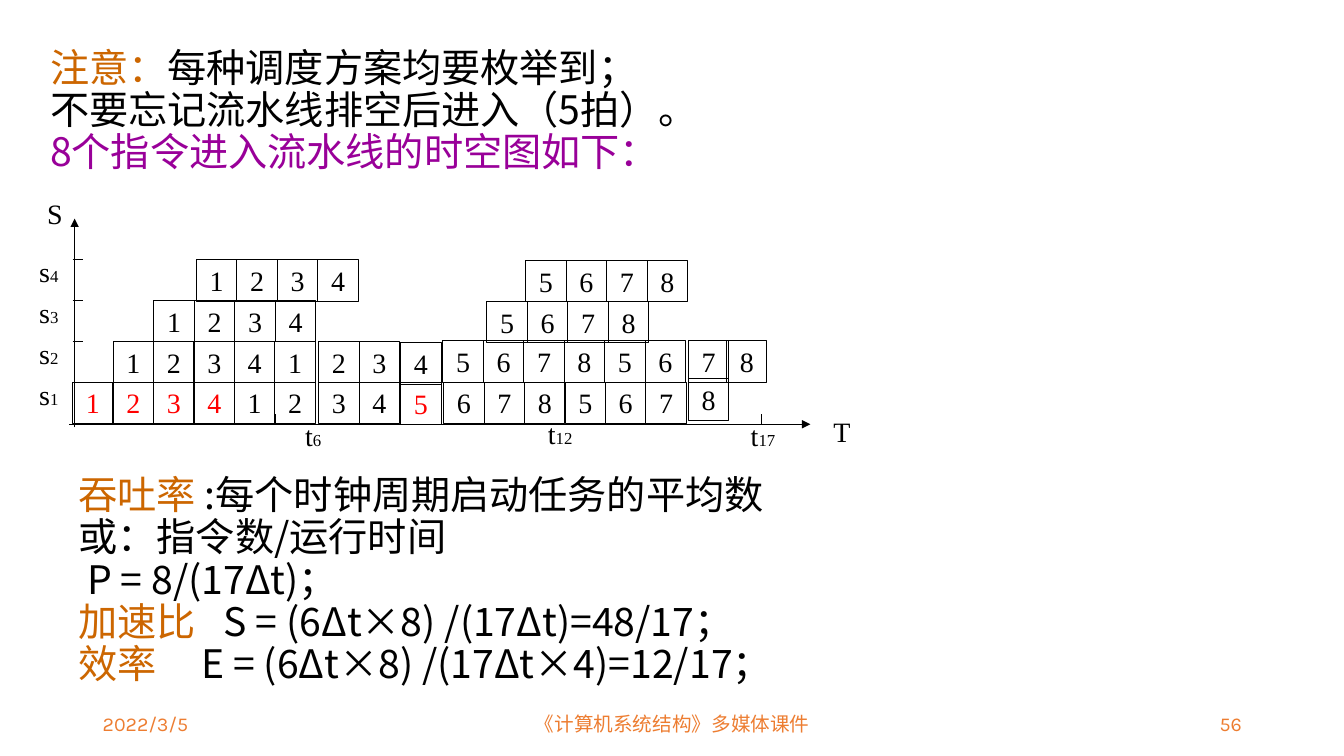
import pptx
import pptx.util
import pptx.dml.color
import pptx.enum.shapes
import pptx.enum.text
import pptx.oxml
import pptx.oxml.ns

Cm = pptx.util.Cm
Pt = pptx.util.Pt
ALIGN = pptx.enum.text.PP_ALIGN
ANCHOR = pptx.enum.text.MSO_ANCHOR
BLACK, RED, ORANGE, PURPLE, FOOTER = "000000", "FF0000", "CC6600", "990099", "ED7D31"
SERIF, SANS = "Times New Roman", "Noto Sans CJK SC"
NAMESPACE = pptx.oxml.ns.nsdecls("a")


def paint(colour_format, colour):
    colour_format.rgb = pptx.dml.color.RGBColor.from_string(colour)


def write(paragraph, wording, size, font_name, colour):
    run = paragraph.add_run()
    run.text = wording
    for key, value in {"size": Pt(size), "name": font_name, "bold": False}.items():
        setattr(run.font, key, value)
    paint(run.font.color, colour)


deck = pptx.Presentation()
deck.slide_width, deck.slide_height = Cm(33.87), Cm(19.05)
slide = deck.slides.add_slide(deck.slide_layouts[1])
heading, notice = slide.placeholders
heading.element.getparent().remove(heading.element)

footers = [
    (2.34, 7.62, ALIGN.LEFT, "2022/3/5"),
    (11.23, 11.43, ALIGN.CENTER, "《计算机系统结构》多媒体课件"),
    (23.93, 7.62, ALIGN.RIGHT, "56"),
]
for left, width, alignment, wording in footers:
    footer = slide.shapes.add_textbox(Cm(left), Cm(17.65), Cm(width), Cm(1.02)).text_frame
    footer.word_wrap = True
    footer.vertical_anchor = ANCHOR.BOTTOM
    footer.paragraphs[0].alignment = alignment
    write(footer.paragraphs[0], wording, 14, "Karla", FOOTER)

notice.left, notice.top, notice.width, notice.height = Cm(1.01), Cm(1.09), Cm(29.21), Cm(12.09)
formulas = slide.shapes.add_textbox(Cm(1.73), Cm(11.86), Cm(29.21), Cm(12.09))
notice_lines = [
    (0.64, -0.64, [("注意：", SERIF, ORANGE), ("每种调度方案均要枚举到；", SERIF, BLACK)]),
    (0.64, -0.64, [("不要忘记流水线排空后进入（5拍）。", SANS, BLACK)]),
    (0.64, -0.64, [("8个指令进入流水线的时空图如下：", SANS, PURPLE)]),
]
formula_lines = [
    (0.64, -0.64, [("吞吐率 ", SANS, ORANGE), (":每个时钟周期启动任务的平均数", SANS, BLACK)]),
    (0.64, -0.64, [("或：指令数/运行时间", SANS, BLACK)]),
    (0.86, -0.64, [("P = 8/(17Δt)；", SANS, BLACK)]),
    (3.66, -3.66, [("加速比\t", SANS, ORANGE), ("S = (6Δt×8) /(17Δt)=48/17；", SANS, BLACK)]),
    (3.1, -3.1, [("效率\t", SANS, ORANGE), ("E = (6Δt×8) /(17Δt×4)=12/17；", SANS, BLACK)]),
]
for box, lines in ((notice, notice_lines), (formulas, formula_lines)):
    frame = box.text_frame
    frame.word_wrap = True
    frame.vertical_anchor = ANCHOR.TOP
    for index, (margin, indent, runs) in enumerate(lines):
        paragraph = frame.add_paragraph() if index else frame.paragraphs[0]
        properties = paragraph._p.get_or_add_pPr()
        properties.set("marL", str(Cm(margin)))
        properties.set("indent", str(Cm(indent)))
        properties.append(pptx.oxml.parse_xml(f"<a:buNone {NAMESPACE}/>"))
        for key, value in {"line_spacing": 0.9, "space_before": Pt(0), "space_after": Pt(0)}.items():
            setattr(paragraph, key, value)
        for wording, font_name, colour in runs:
            write(paragraph, wording, 28, font_name, colour)

stage_runs = [
    (1.83, 9.63, "1234", RED), (5.91, 9.63, "12", BLACK), (8.03, 9.63, "34", BLACK),
    (10.1, 9.65, "5", RED), (11.18, 9.63, "678567", BLACK), (17.35, 9.55, "8", BLACK),
    (2.85, 8.6, "12341", BLACK), (8.03, 8.6, "23", BLACK), (10.1, 8.64, "4", BLACK),
    (11.16, 8.59, "567856", BLACK), (17.35, 8.59, "7", BLACK), (18.31, 8.59, "8", BLACK),
    (3.88, 7.57, "1234", BLACK), (12.27, 7.59, "5678", BLACK),
    (4.95, 6.55, "1234", BLACK), (13.25, 6.56, "5678", BLACK),
]
for left, top, instructions, colour in stage_runs:
    for beat, instruction in enumerate(instructions):
        cell = slide.shapes.add_shape(pptx.enum.shapes.MSO_SHAPE.RECTANGLE,
                                      Cm(left + 1.02 * beat), Cm(top), Cm(1.02), Cm(1.04))
        cell.shadow.inherit = False
        cell.fill.background()
        cell.line.width = Pt(0.75)
        paint(cell.line.color, BLACK)
        cell.text_frame.word_wrap = False
        cell.text_frame.vertical_anchor = ANCHOR.MIDDLE
        cell.text_frame.paragraphs[0].alignment = ALIGN.CENTER
        write(cell.text_frame.paragraphs[0], instruction, 20, SERIF, colour)

axis_labels = [
    (0.94, 4.83, 0.89, "S", ""), (20.75, 10.31, 0.94, "T", ""),
    (7.44, 10.41, 1, "t", "6"), (13.56, 10.36, 1.3, "t", "12"), (18.67, 10.41, 1.3, "t", "17"),
] + [(0.74, 9.39 - 1.03 * (stage - 1), 1, "s", str(stage)) for stage in range(1, 5)]
for left, top, width, letter, number in axis_labels:
    label = slide.shapes.add_textbox(Cm(left), Cm(top), Cm(width), Cm(1.12)).text_frame
    label.word_wrap = False
    write(label.paragraphs[0], letter, 20, SERIF, BLACK)
    if number:
        write(label.paragraphs[0], number, 12, SERIF, BLACK)

stage_ticks = [(1.83, top, 2.08, top, False) for top in (6.53, 7.57, 8.61)]
time_ticks = [(left, 10.68, left, 10.43, False) for left in (6.93, 15.27, 19.2)]
axes = [(1.88, 10.77, 1.88, 5.51, True), (1.75, 10.69, 20.42, 10.69, True)]
for x1, y1, x2, y2, arrow in stage_ticks + time_ticks + axes:
    stroke = slide.shapes.add_connector(pptx.enum.shapes.MSO_CONNECTOR.STRAIGHT, Cm(x1), Cm(y1), Cm(x2), Cm(y2))
    stroke.line.width = Pt(0.75)
    paint(stroke.line.color, BLACK)
    if arrow:
        stroke.line._get_or_add_ln().append(pptx.oxml.parse_xml(f'<a:tailEnd {NAMESPACE} type="triangle"/>'))
    stroke._element.spPr.append(pptx.oxml.parse_xml(f"<a:effectLst {NAMESPACE}/>"))

deck.save("out.pptx")
